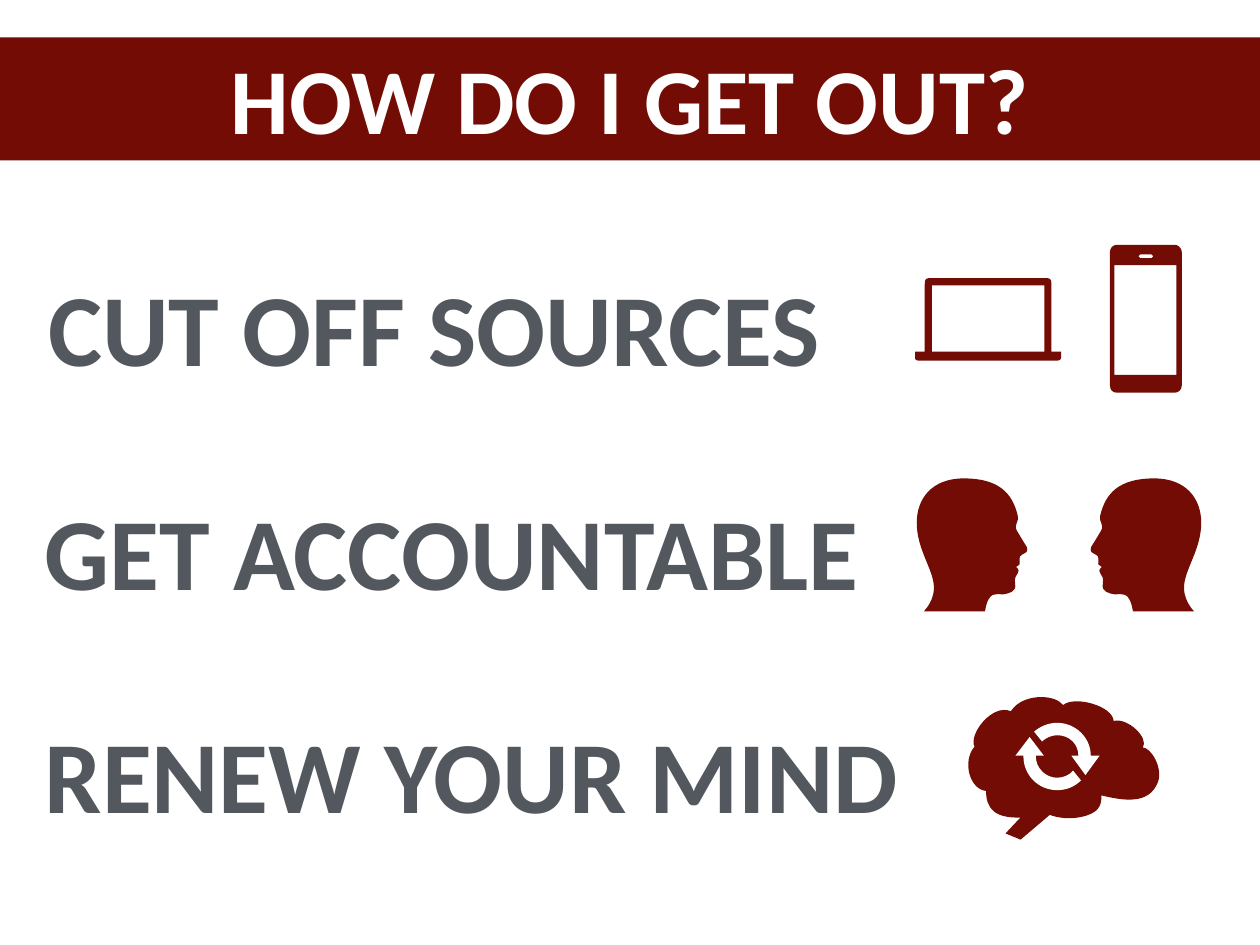
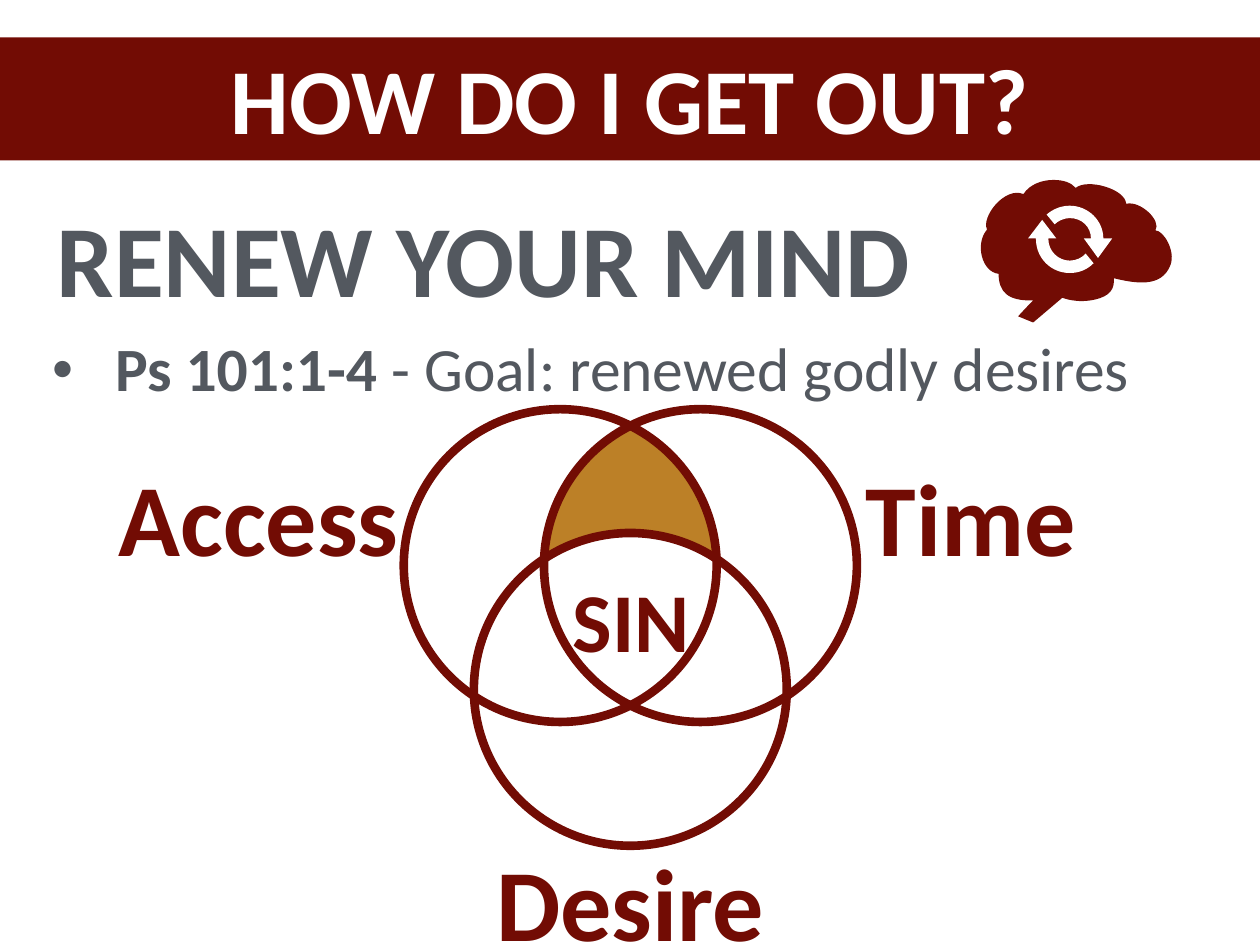
from dataclasses import dataclass

from lxml import etree
from pptx import Presentation
from pptx.dml.color import RGBColor
from pptx.enum.shapes import MSO_SHAPE
from pptx.enum.text import MSO_ANCHOR, PP_ALIGN
from pptx.oxml.ns import qn
from pptx.shapes.autoshape import Shape
from pptx.slide import Slide
from pptx.util import Cm, Pt

RECTANGLE, OVAL = MSO_SHAPE.RECTANGLE, MSO_SHAPE.OVAL
LEFT, CENTER = PP_ALIGN.LEFT, PP_ALIGN.CENTER
MIDDLE = MSO_ANCHOR.MIDDLE

# Shared style
FONT = "Calibri"
COLORS = {"maroon": "720C04", "gray": "53585F", "gold": "BC8027", "white": "FFFFFF"}
SLIDE_WIDTH, SLIDE_HEIGHT = 36.12, 27.1
TITLE = "HOW DO I GET OUT?"
HEADING_SIZE = 83
HEADING_WIDTH, HEADING_HEIGHT = 25.12, 4.09
LABEL_WIDTH = 9.88
INSET = 0.15
UNITS_PER_CM = 100 / 2.54  # outline units are hundredths of an inch
CURVE_STEPS = 20

# Icon outlines: M = move, L = line, C = cubic curve
SEGMENT_TAGS = {"M": "a:moveTo", "L": "a:lnTo", "C": "a:cubicBezTo"}
LAPTOP = """M 15 0 C 11 0 11 4 11 8 L 11 83 L 0 83 C 0 83 0 85 0 88 C 0 93 1 93 7 93
L 79 93 L 86 93 L 158 93 C 163 93 165 93 165 88 C 165 85 165 83 165 83 L 154 83
L 154 8 C 154 4 154 0 150 0 L 15 0
M 19 8 L 146 8 L 146 83 L 86 83 L 79 83 L 19 83 L 19 8"""
PHONE = """M 8 0 C 3 0 0 4 0 8 L 0 159 C 0 164 3 167 8 167 L 73 167
C 77 167 81 164 81 159 L 81 8 C 81 4 77 0 73 0 L 8 0
M 34 11 L 47 11 C 48 11 49 12 49 13 C 49 14 48 15 47 15 L 34 15
C 33 15 32 14 32 13 C 32 12 33 11 34 11
M 5 23 L 75 23 L 75 147 L 5 147 L 5 23"""
HEAD = """M 53 0 C 17 0 0 23 0 50 C 0 78 16 99 19 118 C 22 137 8 150 8 150 L 77 150
C 81 126 90 131 97 131 C 104 130 113 128 111 119 C 110 112 112 110 114 107
C 117 103 112 100 112 100 L 115 98 C 116 98 117 96 116 95 C 116 94 116 93 116 92
C 115 89 117 87 119 86 C 121 85 123 84 124 83 C 125 81 125 79 124 77
C 120 71 116 64 113 59 C 109 52 116 49 114 42 C 108 17 93 0 53 0"""
HEAD_WIDTH = 125
BRAIN = """M 82 0 C 69 0 55 5 48 16 C 27 7 0 42 7 56 C -7 72 1 104 20 106
C 20 126 30 137 59 136 C 53 142 42 154 42 154 L 59 161 L 92 133
C 92 133 108 140 129 135 C 146 131 151 123 150 111 C 175 117 204 122 214 96
C 220 80 206 57 197 57 C 204 46 180 23 164 27 C 163 10 120 -2 107 9
C 102 3 93 0 82 0"""
CYCLE_ARROWS = """M 47 0 C 37 0 28 4 21 10 L 30 21 C 34 17 41 14 47 14
C 61 14 71 24 71 37 L 63 37 L 79 59 L 95 37 L 85 37 C 85 17 68 0 47 0
M 16 16 L 0 37 L 9 37 C 9 38 9 38 9 38 C 9 59 26 76 47 76 C 58 76 67 72 74 65
L 65 54 C 61 59 54 62 47 62 C 34 62 23 51 23 38 C 23 38 23 38 23 37 L 32 37 L 16 16"""
OVERLAP = """M 95 0 C 70 12 49 30 33 53 C 12 81 1 115 0 150 C 27 132 59 123 91 122
C 127 121 163 130 193 150 C 191 116 180 84 161 56 C 144 32 122 13 95 0"""

Point = tuple[float, float]
Segment = tuple[str, list[Point]]


@dataclass(frozen=True)
class Box:
    left: float
    top: float
    width: float
    height: float

    def lengths(self) -> list[Cm]:
        return [Cm(value) for value in (self.left, self.top, self.width, self.height)]


@dataclass(frozen=True)
class TextRun:
    text: str
    size: float
    color: str
    bold: bool = True


@dataclass(frozen=True)
class Icon:
    outline: str
    left: float
    top: float
    color: str = "maroon"
    mirror_width: int = 0

    def place(self, x: float, y: float) -> Point:
        x = self.mirror_width - x if self.mirror_width else x
        return Cm(self.left + x / UNITS_PER_CM), Cm(self.top + y / UNITS_PER_CM)

    def segments(self) -> list[Segment]:
        tokens = iter(self.outline.split())
        return [(command, [self.place(float(next(tokens)), float(next(tokens)))
                           for _ in range(3 if command == "C" else 1)])
                for command in tokens]


def rgb(name: str) -> RGBColor:
    return RGBColor.from_string(COLORS[name])


def fill_shape(shape: Shape, color: str) -> None:
    shape.shadow.inherit = False
    shape.fill.solid()
    shape.fill.fore_color.rgb = rgb(color)
    shape.line.fill.background()


def add_text(slide: Slide, box: Box, runs: list[TextRun], alignment: PP_ALIGN = LEFT,
             spacing: float = 1.1, bullet_indent: float = 0) -> None:
    frame = slide.shapes.add_textbox(*box.lengths()).text_frame
    frame.word_wrap = True
    frame.vertical_anchor = MIDDLE
    frame.margin_left = frame.margin_right = Cm(INSET)
    frame.margin_top = frame.margin_bottom = Cm(INSET)
    paragraph = frame.paragraphs[0]
    paragraph.alignment = alignment
    paragraph.line_spacing = spacing
    if bullet_indent:
        properties = paragraph._p.get_or_add_pPr()
        properties.set("marL", str(Cm(bullet_indent)))
        properties.set("indent", str(-Cm(bullet_indent)))
        etree.SubElement(properties, qn("a:buSzPct"), val="75000")
        etree.SubElement(properties, qn("a:buFont"), typeface=FONT)
        etree.SubElement(properties, qn("a:buChar"), char="•")
    for item in runs:
        run = paragraph.add_run()
        run.text = item.text
        run.font.name = FONT
        run.font.size = Pt(item.size)
        run.font.bold = item.bold
        run.font.color.rgb = rgb(item.color)


def cubic_point(points: list[Point], t: float) -> Point:
    weights = ((1 - t) ** 3, 3 * t * (1 - t) ** 2, 3 * t ** 2 * (1 - t), t ** 3)
    x, y = (sum(w * p[axis] for w, p in zip(weights, points)) for axis in (0, 1))
    return x, y


def outline_bounds(segments: list[Segment]) -> tuple[int, int, int, int]:
    """Left, top, width and height of the drawn curves."""
    reached: list[Point] = []
    for command, points in segments:
        if command == "C":
            controls = [reached[-1], *points]
            reached += [cubic_point(controls, step / CURVE_STEPS)
                        for step in range(1, CURVE_STEPS + 1)]
        else:
            reached += points
    columns, rows = zip(*reached)
    left, top = round(min(columns)), round(min(rows))
    return left, top, round(max(columns)) - left, round(max(rows)) - top


def add_icon(slide: Slide, icon: Icon) -> None:
    segments = icon.segments()
    left, top, width, height = outline_bounds(segments)
    ends = [points[-1] for _, points in segments]
    builder = slide.shapes.build_freeform(*ends[0], scale=1.0)
    builder.add_line_segments(ends[1:], close=True)
    shape = builder.convert_to_shape()
    shape.left, shape.top, shape.width, shape.height = left, top, width, height
    # Cubic curves take the place of the straight segments
    geometry = next(shape._element.iter(qn("a:path")))
    for child in list(geometry):
        geometry.remove(child)
    geometry.set("w", str(width))
    geometry.set("h", str(height))
    for index, (command, points) in enumerate(segments):
        if command == "M" and index:
            etree.SubElement(geometry, qn("a:close"))
        segment = etree.SubElement(geometry, qn(SEGMENT_TAGS[command]))
        for x, y in points:
            etree.SubElement(segment, qn("a:pt"), x=str(x - left), y=str(y - top))
    etree.SubElement(geometry, qn("a:close"))
    fill_shape(shape, icon.color)


def add_renew_icon(slide: Slide, left: float, top: float) -> None:
    add_icon(slide, Icon(BRAIN, left, top))
    add_icon(slide, Icon(CYCLE_ARROWS, left + 1.35, top + 0.74, "white"))


def add_title_band(slide: Slide) -> None:
    band = slide.shapes.add_shape(RECTANGLE, *Box(-0.07, 1.07, 36.27, 3.53).lengths())
    fill_shape(band, "maroon")
    add_text(slide, Box(1.33, 1.02, 33.45, 3.53), [TextRun(TITLE, 75.5, "white")],
             CENTER, spacing=1.0)


def add_heading(slide: Slide, text: str, left: float, top: float) -> None:
    add_text(slide, Box(left, top, HEADING_WIDTH, HEADING_HEIGHT),
             [TextRun(text, HEADING_SIZE, "gray")])


def add_ring(slide: Slide, center_x: float, center_y: float, diameter: float) -> None:
    box = Box(center_x - diameter / 2, center_y - diameter / 2, diameter, diameter)
    ring = slide.shapes.add_shape(OVAL, *box.lengths())
    ring.shadow.inherit = False
    ring.fill.background()
    ring.line.color.rgb = rgb("maroon")
    ring.line.width = Pt(7)


def build_steps_slide(slide: Slide) -> None:
    add_title_band(slide)
    # Three steps at equal distances
    steps = (("CUT OFF SOURCES", 1.23), ("GET ACCOUNTABLE", 1.13), ("RENEW YOUR MIND", 1.13))
    for row, (text, left) in enumerate(steps):
        add_heading(slide, text, left, 7.11 + 6.42 * row)
    # Icons beside the steps
    for icon in (Icon(LAPTOP, 26.23, 7.98), Icon(PHONE, 31.82, 7.02),
                 Icon(HEAD, 26.28, 13.72),
                 Icon(HEAD, 31.26, 13.72, mirror_width=HEAD_WIDTH)):
        add_icon(slide, icon)
    add_renew_icon(slide, 27.76, 19.99)


def build_renew_slide(slide: Slide) -> None:
    add_icon(slide, Icon(OVERLAP, 15.65, 12.27, "gold"))
    add_title_band(slide)
    add_heading(slide, "RENEW YOUR MIND", 1.48, 5.13)
    add_renew_icon(slide, 28.12, 5.16)
    add_text(slide, Box(1.32, 9.14, 33.45, 2.54),
             [TextRun("Ps 101:1-4 ", 50, "gray"),
              TextRun("- Goal: renewed godly desires", 50, "gray", bold=False)],
             bullet_indent=1.83)
    # Venn diagram
    middle_x, upper_y, lower_y, spread = 18.07, 16.22, 19.77, 2.01
    for center_x, center_y in ((middle_x - spread, upper_y), (middle_x + spread, upper_y),
                               (middle_x, lower_y)):
        add_ring(slide, center_x, center_y, 8.97)
    # Circle labels
    for text, left, top, alignment in (("Access", 3.25, 12.57, LEFT),
                                       ("Time", 24.67, 12.57, LEFT),
                                       ("Desire", middle_x - LABEL_WIDTH / 2, 23.62, CENTER)):
        add_text(slide, Box(left, top, LABEL_WIDTH, HEADING_HEIGHT),
                 [TextRun(text, HEADING_SIZE, "maroon")], alignment)
    add_text(slide, Box(15.93, 15.84, 4.32, 3.53), [TextRun("SIN", 68, "maroon")], CENTER)


def main() -> None:
    presentation = Presentation()
    presentation.slide_width = Cm(SLIDE_WIDTH)
    presentation.slide_height = Cm(SLIDE_HEIGHT)
    blank_layout = presentation.slide_layouts[6]
    for build in (build_steps_slide, build_renew_slide):
        build(presentation.slides.add_slide(blank_layout))
    presentation.save("out.pptx")


if __name__ == "__main__":
    main()
